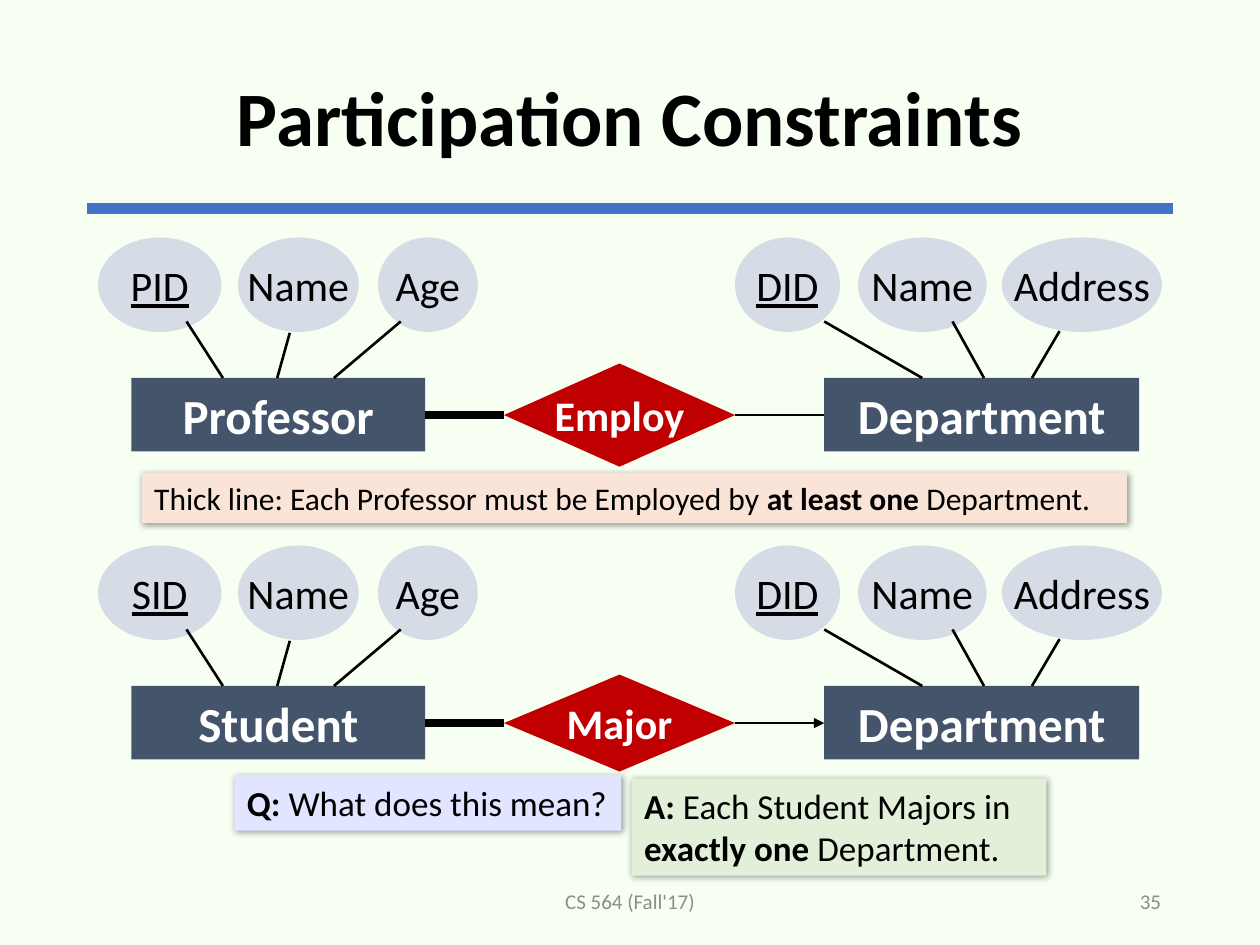
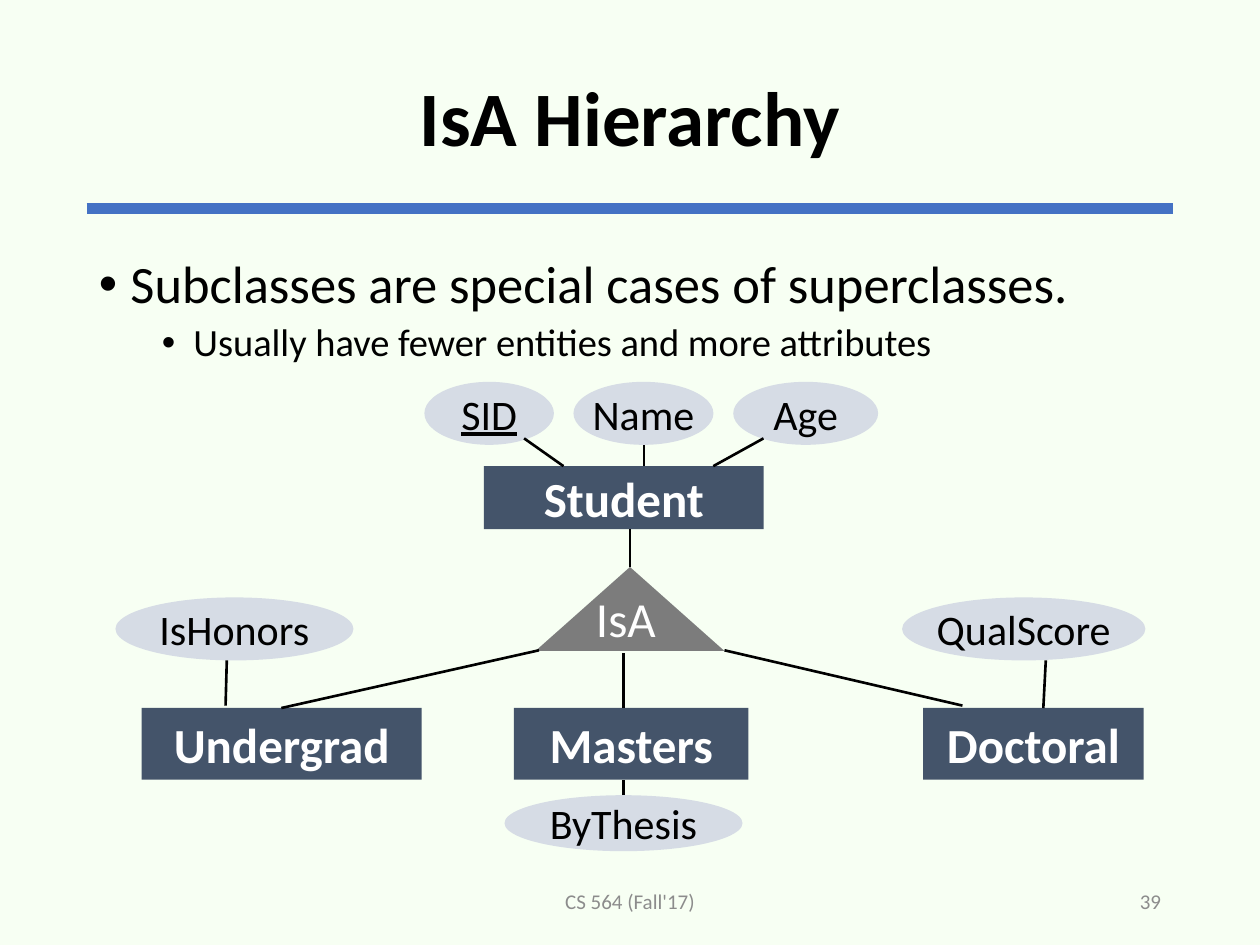
import dataclasses
from typing import Any, NamedTuple

import lxml.etree
import pptx
import pptx.dml.color
import pptx.enum.shapes
import pptx.enum.text
import pptx.oxml
import pptx.oxml.ns
import pptx.util

Pt = pptx.util.Pt
RGB = pptx.dml.color.RGBColor.from_string
qn = pptx.oxml.ns.qn
SHAPES = pptx.enum.shapes.MSO_SHAPE
ALIGN = pptx.enum.text.PP_ALIGN
ANCHOR = pptx.enum.text.MSO_ANCHOR
DRAWING = "http://schemas.openxmlformats.org/drawingml/2006/main"


# Theme: colours and type sizes
@dataclasses.dataclass(frozen=True)
class Theme:
    font: str = "Calibri"
    background: str = "F7FFF3"
    accent: str = "4472C4"
    ink: str = "000000"
    white: str = "FFFFFF"
    footer: str = "8C8C8C"
    entity: str = "44546A"
    attribute: str = "D6DCE5"
    relationship: str = "C00000"
    hierarchy: str = "7C7C7C"
    question: str = "E2E5FF"
    answer: str = "E2F0D9"
    remark: str = "FAE4D7"
    title_size: float = 44
    bullet_size: float = 30
    sub_bullet_size: float = 22
    entity_size: float = 28
    attribute_size: float = 24
    note_size: float = 20
    remark_size: float = 18
    footer_size: float = 12


THEME = Theme()


# Repeated elements, all lengths in points
class Box(NamedTuple):
    left: float
    top: float
    width: float
    height: float


class Run(NamedTuple):
    text: str
    bold: bool = False


@dataclasses.dataclass(frozen=True)
class Kind:
    preset: Any
    fill: str
    color: str
    size: float
    bold: bool = False


class Node(NamedTuple):
    kind: Kind
    text: str
    box: Box
    key: bool = False


class Link(NamedTuple):
    x1: float
    y1: float
    x2: float
    y2: float
    weight: float = 1.5
    arrow: bool = False


class Note(NamedTuple):
    box: Box
    fill: str
    size: float
    runs: tuple[Run, ...]


class Bullet(NamedTuple):
    text: str
    size: float
    indent: float
    space_before: float


ENTITY = Kind(SHAPES.RECTANGLE, THEME.entity, THEME.white, THEME.entity_size, True)
ATTRIBUTE = Kind(SHAPES.OVAL, THEME.attribute, THEME.ink, THEME.attribute_size)
RELATIONSHIP = Kind(SHAPES.DIAMOND, THEME.relationship, THEME.white, THEME.attribute_size, True)
HIERARCHY = Kind(SHAPES.ISOSCELES_TRIANGLE, THEME.hierarchy, THEME.white, THEME.entity_size)


# Drawing functions
def apply(target: Any, values: dict[str, Any]) -> None:
    for name, value in values.items():
        setattr(target, name, value)


def points(values: tuple[float, ...]) -> list[int]:
    return [Pt(value) for value in values]


def add_run(paragraph: Any, text: str, size: float, color: str, bold: bool = False, underline: bool = False) -> None:
    run = paragraph.add_run()
    run.text = text
    apply(run.font, {"name": THEME.font, "size": Pt(size), "bold": bold, "underline": underline})
    run.font.color.rgb = RGB(color)


def add_text(shapes: Any, box: Box, text: str, size: float, color: str, align: Any,
             bold: bool = False, anchor: Any = ANCHOR.MIDDLE, wrap: bool = True) -> Any:
    frame = shapes.add_textbox(*points(box)).text_frame
    apply(frame, {"word_wrap": wrap, "vertical_anchor": anchor})
    paragraph = frame.paragraphs[0]
    paragraph.alignment = align
    add_run(paragraph, text, size, color, bold)
    return paragraph


def add_filled(shapes: Any, preset: Any, box: Box, fill: str) -> Any:
    shape = shapes.add_shape(preset, *points(box))
    shape.shadow.inherit = False
    shape.fill.solid()
    shape.fill.fore_color.rgb = RGB(fill)
    shape.line.fill.background()
    return shape


def add_node(shapes: Any, node: Node) -> None:
    kind = node.kind
    frame = add_filled(shapes, kind.preset, node.box, kind.fill).text_frame
    apply(frame, {"word_wrap": False, "vertical_anchor": ANCHOR.MIDDLE})
    if node.text:
        paragraph = frame.paragraphs[0]
        paragraph.alignment = ALIGN.CENTER
        add_run(paragraph, node.text, kind.size, kind.color, kind.bold, node.key)


def add_link(shapes: Any, link: Link, color: str = THEME.ink) -> None:
    ends = points((link.x1, link.y1, link.x2, link.y2))
    connector = shapes.add_connector(pptx.enum.shapes.MSO_CONNECTOR.STRAIGHT, *ends)
    connector.line.width = Pt(link.weight)
    connector.line.color.rgb = RGB(color)
    properties = connector._element.spPr
    if link.arrow:
        lxml.etree.SubElement(properties.find(qn("a:ln")), qn("a:tailEnd"), type="triangle")
    lxml.etree.SubElement(properties, qn("a:effectLst"))


def add_note(shapes: Any, note: Note) -> None:
    shape = add_filled(shapes, SHAPES.RECTANGLE, note.box, note.fill)
    effects = shape._element.spPr.find(qn("a:effectLst"))
    effects.append(pptx.oxml.parse_xml(
        f'<a:outerShdw xmlns:a="{DRAWING}" blurRad="{Pt(4)}" dist="{Pt(1)}" dir="2700000" algn="tl" '
        f'rotWithShape="0"><a:srgbClr val="{THEME.ink}"><a:alpha val="40000"/></a:srgbClr></a:outerShdw>'))
    apply(shape.text_frame, {"word_wrap": True, "vertical_anchor": ANCHOR.TOP})
    paragraph = shape.text_frame.paragraphs[0]
    paragraph.alignment = ALIGN.LEFT
    for run in note.runs:
        add_run(paragraph, run.text, note.size, THEME.ink, run.bold)


def add_bullets(shapes: Any, box: Box, bullets: tuple[Bullet, ...]) -> None:
    frame = shapes.add_textbox(*points(box)).text_frame
    frame.word_wrap = True
    for level, bullet in enumerate(bullets):
        paragraph = frame.add_paragraph() if level else frame.paragraphs[0]
        properties = paragraph._p.get_or_add_pPr()
        apply(paragraph, {"level": level, "line_spacing": 0.9, "space_before": Pt(bullet.space_before)})
        properties.set("marL", str(Pt(bullet.indent)))
        properties.set("indent", str(Pt(-18)))
        lxml.etree.SubElement(properties, qn("a:buFont"), typeface="Arial")
        lxml.etree.SubElement(properties, qn("a:buChar"), char="•")
        add_run(paragraph, bullet.text, bullet.size, THEME.ink)


def add_diagram(slide: Any, nodes: list[Node], links: list[Link]) -> Any:
    shapes = slide.shapes.add_group_shape().shapes
    for node in nodes:
        add_node(shapes, node)
    for link in links:
        add_link(shapes, link)
    return shapes


def add_slide(presentation: Any, title: str, number: int) -> Any:
    slide = presentation.slides.add_slide(presentation.slide_layouts[6])
    slide.background.fill.solid()
    slide.background.fill.fore_color.rgb = RGB(THEME.background)
    shapes = slide.shapes
    add_link(shapes, Link(49.5, 119.3, 670.5, 119.3, 6), THEME.accent)
    heading = add_text(shapes, Box(49.5, 17.3, 621, 104.4), title, THEME.title_size, THEME.ink, ALIGN.CENTER, True)
    heading.line_spacing = 0.9
    for box, text, align in ((Box(238.5, 500.4, 243, 28.8), "CS 564 (Fall'17)", ALIGN.CENTER),
                             (Box(508.5, 500.4, 162, 28.8), str(number), ALIGN.RIGHT)):
        add_text(shapes, box, text, THEME.footer_size, THEME.footer, align)
    return slide


# Participation slide: the same entity pair at two heights
def add_entity_pair(slide: Any, top: float, owner: str, key: str, relationship: str,
                    diamond_height: float, arrow: bool) -> None:
    attributes = ((key, 56, 70.5), ("Name", 136, 69), ("Age", 216, 57),
                  ("DID", 420, 60), ("Name", 490.3, 73.5), ("Address", 572.5, 91.5))
    attribute_links = ((127.4, 106.6, 48), (158.4, 165.6, 54.5), (190.8, 229, 48),
                       (527, 471, 48), (562.3, 544.3, 48), (589.7, 605.5, 53.5))
    entity_top, middle = top + 80.3, top + 101.5
    nodes = [Node(ATTRIBUTE, text, Box(left, top, width, 54), text in (key, "DID"))
             for text, left, width in attributes]
    nodes += [
        Node(ENTITY, owner, Box(75, entity_top, 168, 42)),
        Node(ENTITY, "Department", Box(471, entity_top, 180, 42)),
        Node(RELATIONSHIP, relationship, Box(288, middle - diamond_height / 2, 132, diamond_height)),
    ]
    links = [Link(entity_x, entity_top, attribute_x, top + drop) for entity_x, attribute_x, drop in attribute_links]
    links += [Link(420, middle, 471, middle, arrow=arrow), Link(243, middle, 288, middle, 5)]
    add_diagram(slide, nodes, links)


def build_participation(presentation: Any) -> None:
    slide = add_slide(presentation, "Participation Constraints", 35)
    add_entity_pair(slide, 135.7, "Professor", "PID", "Employ", 59, False)
    add_entity_pair(slide, 311.7, "Student", "SID", "Major", 55.4, True)
    notes = (
        Note(Box(134, 443, 221, 31.7), THEME.question, THEME.note_size,
             (Run("Q: ", True), Run("What does this mean?"))),
        Note(Box(361, 445, 237, 55.4), THEME.answer, THEME.note_size,
             (Run("A: ", True), Run("Each Student Majors in "), Run("exactly one ", True), Run("Department."))),
        Note(Box(81, 270, 563, 29), THEME.remark, THEME.remark_size,
             (Run("Thick line: Each Professor must be Employed by "), Run("at least one", True),
              Run(" Department."))),
    )
    for note in notes:
        add_note(slide.shapes, note)


# Hierarchy slide
def build_hierarchy(presentation: Any) -> None:
    slide = add_slide(presentation, "IsA Hierarchy", 39)
    add_bullets(slide.shapes, Box(49.5, 144, 621, 343), (
        Bullet("Subclasses are special cases of superclasses.", THEME.bullet_size, 18, 0),
        Bullet("Usually have fewer entities and more attributes", THEME.sub_bullet_size, 54, 5),
    ))
    nodes = [Node(ATTRIBUTE, text, Box(left, 218.2, width, 36), text == "SID")
             for text, left, width in (("SID", 242.5, 74), ("Name", 327.7, 80), ("Age", 419, 82.8))]
    nodes += [Node(ENTITY, text, Box(left, 404.6, width, 41))
              for text, left, width in (("Undergrad", 81, 160), ("Masters", 293.7, 134), ("Doctoral", 527.5, 126))]
    nodes += [
        Node(ENTITY, "Student", Box(276.5, 266.4, 160, 36)),
        Node(HIERARCHY, "", Box(306, 324, 108, 48)),
        Node(ATTRIBUTE, "IsHonors", Box(66, 341.4, 136, 36)),
        Node(ATTRIBUTE, "QualScore", Box(515.5, 341.4, 139, 36)),
        Node(ATTRIBUTE, "ByThesis", Box(288.3, 454.4, 136, 32)),
    ]
    links = [
        Link(322, 266.4, 299.5, 250.5), Link(368, 266.4, 368, 254.2), Link(407.6, 266.4, 436.3, 250.5),
        Link(360, 324, 360, 302.4),
        Link(160.8, 404.6, 308, 371.6), Link(356.4, 404.6, 356.4, 373), Link(550, 403.2, 414, 371.6),
        Link(128.9, 403.2, 129.6, 377.4), Link(596.2, 404.6, 597.6, 377.4), Link(356.4, 454.4, 356.4, 445.6),
    ]
    group = add_diagram(slide, nodes, links)
    add_text(group, Box(333.5, 332.6, 52.5, 27.4), "IsA", HIERARCHY.size, HIERARCHY.color, ALIGN.LEFT,
             anchor=ANCHOR.TOP, wrap=False)


def main() -> None:
    presentation = pptx.Presentation()
    apply(presentation, {"slide_width": Pt(720), "slide_height": Pt(540)})
    build_participation(presentation)
    build_hierarchy(presentation)
    presentation.save("out.pptx")


if __name__ == "__main__":
    main()
